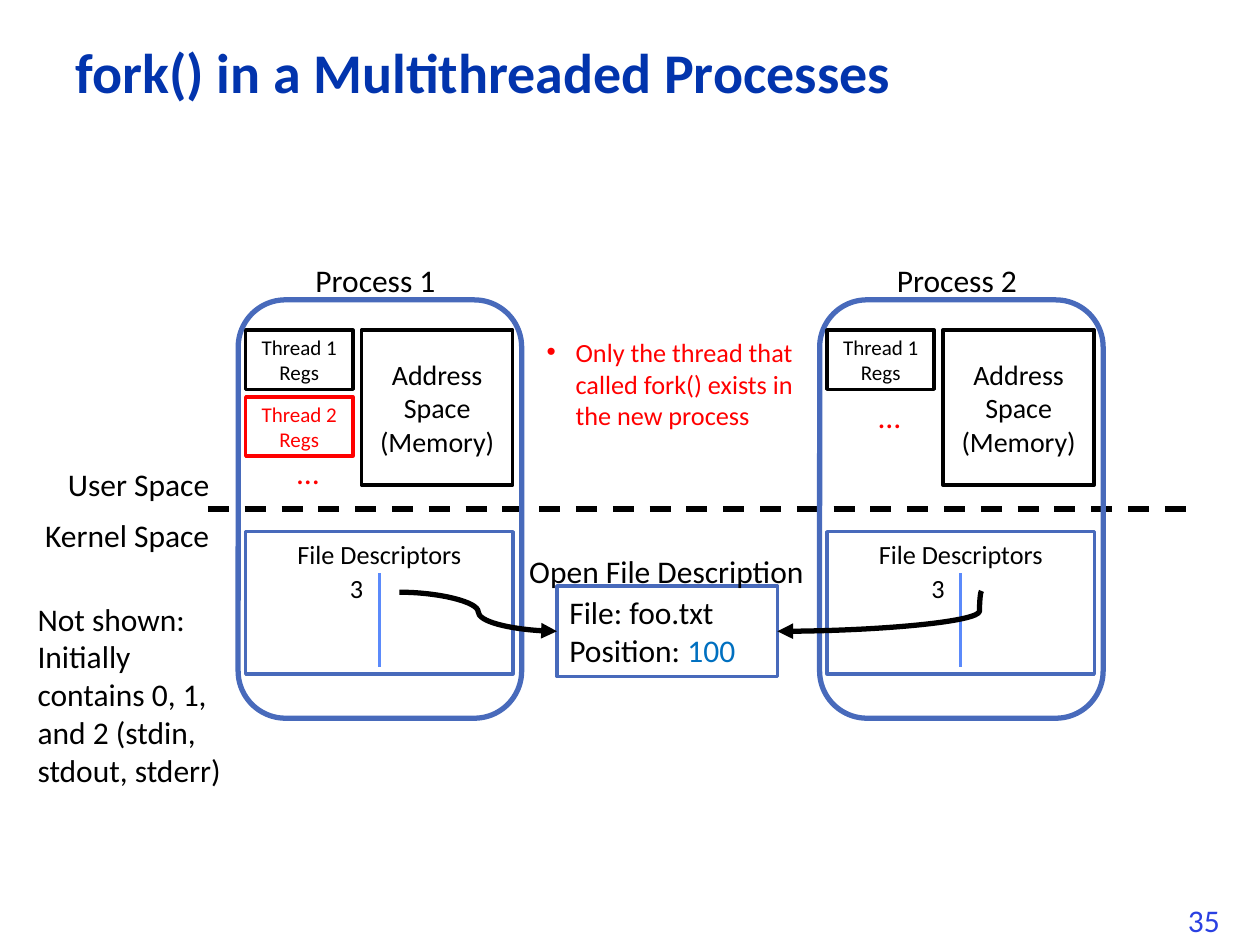
from lxml import etree
from pptx import Presentation, util as u
from pptx.dml.color import RGBColor
from pptx.enum import dml, shapes, text
from pptx.oxml.ns import qn

BLACK = RGBColor(0x00, 0x00, 0x00)
WHITE = RGBColor(0xFF, 0xFF, 0xFF)
RED = RGBColor(0xFF, 0x00, 0x00)
TITLE_BLUE = RGBColor(0x02, 0x34, 0xAD)
NUMBER_BLUE = RGBColor(0x2A, 0x40, 0xE2)
FRAME_BLUE = RGBColor(0x48, 0x6A, 0xBB)
RULE_BLUE = RGBColor(0x5B, 0x8A, 0xFB)
VALUE_BLUE = RGBColor(0x00, 0x70, 0xC0)

FONT = "Calibri"
LEFT, CENTER, RIGHT = text.PP_ALIGN.LEFT, text.PP_ALIGN.CENTER, text.PP_ALIGN.RIGHT
TOP, MIDDLE = text.MSO_ANCHOR.TOP, text.MSO_ANCHOR.MIDDLE

# The slide is a grid of 100 columns by 75 rows
COLS, ROWS = 100, 75
CELL = u.Inches(0.1)


def grid(*cells):
    return [u.Emu(round(c * CELL)) for c in cells]


def write(tf, paragraphs, size=18, color=BLACK, bold=False, align=LEFT,
          anchor=TOP, wrap=True, spacing=None):
    """Fill a frame; each paragraph is a string or a list of (text, color)."""
    tf.word_wrap = wrap
    tf.vertical_anchor = anchor
    for i, content in enumerate(paragraphs):
        p = tf.paragraphs[0] if i == 0 else tf.add_paragraph()
        p.alignment = align
        if spacing:
            p.line_spacing = spacing
        runs = [(content, color)] if isinstance(content, str) else content
        for words, run_color in runs:
            r = p.add_run()
            r.text = words
            r.font.name, r.font.size, r.font.bold = FONT, u.Pt(size), bold
            r.font.color.rgb = run_color


def label(s, x, y, w, h, words, wrap=False, **fmt):
    sp = s.shapes.add_textbox(*grid(x, y, w, h))
    write(sp.text_frame, [words], wrap=wrap, **fmt)
    return sp


def box(s, x, y, w, h, paragraphs=(), line=BLACK, weight=2, fill=WHITE,
        kind=shapes.MSO_SHAPE.RECTANGLE, **fmt):
    sp = s.shapes.add_shape(kind, *grid(x, y, w, h))
    sp.shadow.inherit = False
    if fill is None:
        sp.fill.background()
    else:
        sp.fill.solid()
        sp.fill.fore_color.rgb = fill
    sp.line.color.rgb = line
    sp.line.width = u.Pt(weight)
    if paragraphs:
        write(sp.text_frame, paragraphs, **fmt)
    return sp


def connector(s, x1, y1, x2, y2, color=BLACK, weight=3,
              kind=shapes.MSO_CONNECTOR.STRAIGHT):
    c = s.shapes.add_connector(kind, *grid(x1, y1, x2, y2))
    c.line.color.rgb = color
    c.line.width = u.Pt(weight)
    etree.SubElement(c._element.spPr, qn("a:effectLst"))
    return c


def curved_arrow(s, x1, y1, x2, y2, bend=None):
    c = connector(s, x1, y1, x2, y2, kind=shapes.MSO_CONNECTOR.CURVE)
    etree.SubElement(c.line._get_or_add_ln(), qn("a:tailEnd"), type="triangle")
    if bend is not None:
        geom = c._element.spPr.find(qn("a:prstGeom"))
        guides = geom.find(qn("a:avLst"))
        if guides is None:
            guides = etree.SubElement(geom, qn("a:avLst"))
        etree.SubElement(guides, qn("a:gd"), name="adj1",
                         fmla=f"val {round(bend * 100000)}")


def bullet(sp, indent):
    for p in sp.text_frame.paragraphs:
        pPr = p._p.get_or_add_pPr()
        pPr.set("marL", str(u.Inches(indent)))
        pPr.set("indent", str(-u.Inches(indent)))
        etree.SubElement(pPr, qn("a:buFont"), typeface="Arial")
        etree.SubElement(pPr, qn("a:buChar"), char="•")


def process(s, x, name, thread_colors):
    """One process: frame, threads, memory and descriptor table."""
    box(s, x, 23.8, 22.5, 33.2, line=FRAME_BLUE, weight=3, fill=None,
        kind=shapes.MSO_SHAPE.ROUNDED_RECTANGLE)
    label(s, x + 5, 20.2, 11.8, 4, name, align=CENTER)

    # User space
    box(s, x + 9.8, 26.2, 12, 12.3, ["Address Space (Memory)"],
        size=16, align=CENTER, anchor=MIDDLE)
    for i, color in enumerate(thread_colors):
        box(s, x + 0.6, 26.2 + 5.3 * i, 8.5, 4.7, [f"Thread {i + 1} Regs"],
            line=color, color=color, size=12, align=CENTER, anchor=MIDDLE)
    label(s, x + 3.7, 26.5 + 4.5 * len(thread_colors), 3.8, 4, "…", color=RED)

    # Kernel space
    box(s, x + 0.6, 42.2, 21.2, 11.3, ["File Descriptors"],
        line=FRAME_BLUE, size=15, align=CENTER)
    connector(s, x + 11.2, 45.5, x + 11.2, 52.9, RULE_BLUE, 1.5)
    label(s, x + 7.8, 44.9, 3.1, 3.5, "3", size=15, align=RIGHT)


def main():
    prs = Presentation()
    prs.slide_width, prs.slide_height = grid(COLS, ROWS)
    s = prs.slides.add_slide(prs.slide_layouts[6])

    # Title and slide number
    label(s, 5, 3.1, 86.7, 5.8, "fork() in a Multithreaded Processes", wrap=True,
          size=32, color=TITLE_BLUE, bold=True, anchor=MIDDLE, spacing=0.9)
    label(s, 93.3, 71, 5.1, 4, "35", color=NUMBER_BLUE)

    # Boundary between user and kernel space, behind the processes
    boundary = connector(s, 16.5, 40.4, 94.3, 40.4)
    boundary.line.dash_style = dml.MSO_LINE.DASH
    label(s, 4.1, 36.4, 13.5, 4, "User Space", align=RIGHT)
    label(s, 2.2, 40.5, 15.4, 4, "Kernel Space", align=RIGHT)

    # Processes
    process(s, 18.9, "Process 1", [BLACK, RED])
    process(s, 65.05, "Process 2", [BLACK])

    # Shared open file
    box(s, 44.2, 46.5, 17.5, 7.2,
        ["File: foo.txt", [("Position: ", BLACK), ("100", VALUE_BLUE)]],
        line=FRAME_BLUE, anchor=MIDDLE)
    label(s, 40.7, 43.3, 24.4, 4, "Open File Description", align=CENTER)
    curved_arrow(s, 31.7, 47, 44.2, 50.1)
    curved_arrow(s, 77.9, 46.9, 61.7, 50.1, bend=0.01)

    # Remarks
    label(s, 2, 47.1, 16.6, 16.2,
          "Not shown: Initially contains 0, 1, and 2 (stdin, stdout, stderr)",
          wrap=True)
    remark = label(s, 42.4, 26.2, 22.1, 8.6,
                   "Only the thread that called fork() exists in the new process",
                   wrap=True, size=15, color=RED)
    bullet(remark, 0.23)

    prs.save("out.pptx")


if __name__ == "__main__":
    main()
